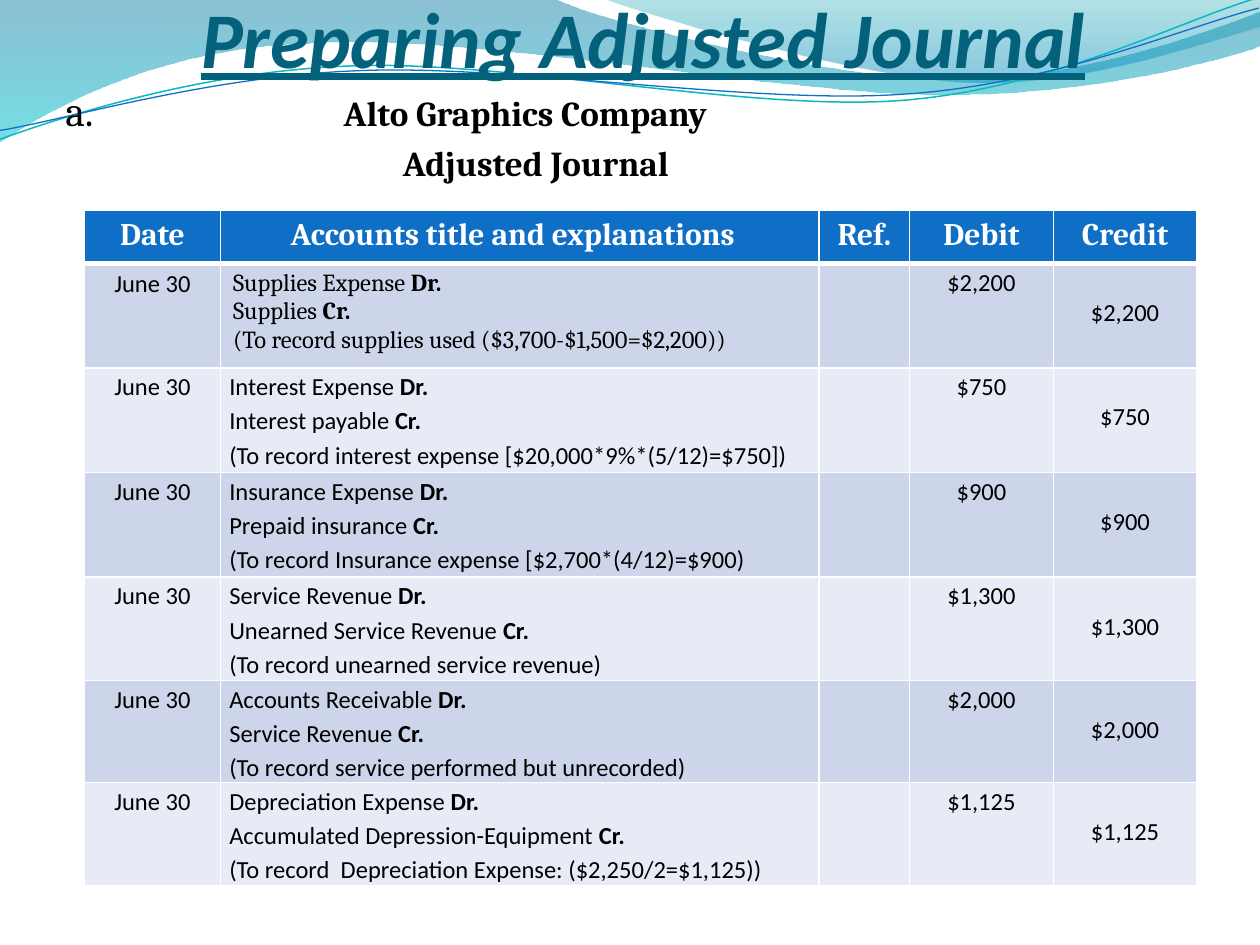
from lxml import etree
from pptx import Presentation
from pptx.dml.color import RGBColor
from pptx.enum.text import MSO_ANCHOR, PP_ALIGN
from pptx.oxml.ns import qn
from pptx.util import Inches, Pt

CENTER, LEFT = PP_ALIGN.CENTER, PP_ALIGN.LEFT
BOTTOM = MSO_ANCHOR.BOTTOM

BLACK = RGBColor(0x00, 0x00, 0x00)
WHITE = RGBColor(0xFF, 0xFF, 0xFF)
TITLE_TEAL = RGBColor(0x04, 0x61, 0x7B)
HEADER_BLUE = RGBColor(0x0F, 0x6F, 0xC6)
LINE_TEAL = RGBColor(0x0A, 0xB8, 0xBF)
BANDS = (RGBColor(0xCC, 0xD5, 0xEA), RGBColor(0xE7, 0xEB, 0xF5))
DEEP_BLUE = RGBColor(0x00, 0x74, 0xA1)
CYAN = RGBColor(0x00, 0xC6, 0xCF)
SEA_GREEN = RGBColor(0x00, 0xA1, 0xA9)
SKY_BLUE = RGBColor(0x00, 0x8B, 0xBF)

TITLE_FONT = dict(name="Calibri", size=Pt(45), bold=True, italic=True, underline=True)
LABEL_FONT = dict(name="Cambria", size=Pt(24), bold=False)
HEADING_FONT = dict(name="Cambria", size=Pt(20), bold=True)
HEADER_FONT = dict(name="Cambria", size=Pt(18), bold=True)
SERIF_FONT = dict(name="Cambria", size=Pt(14), bold=False)
BODY_FONT = dict(name="Calibri", size=Pt(14), bold=False)
TIGHT = dict(margin_left=Inches(0.07), margin_right=Inches(0.07),
             margin_top=0, margin_bottom=0)
LOWERED = {**TIGHT, "margin_top": Inches(0.24)}

WAVES = [
    ([(0, 0), (4.4, -0.01),
      (4.76, 0.17, 6.64, 0.63, 7.58, 0.63), (8.53, 0.63, 9.58, 0.26, 10, 0.09),
      (10.01, 0.36),
      (9.83, 0.44, 8.7, 0.76, 7.46, 0.75), (6.22, 0.75, 3.82, 0.28, 2.57, 0.34),
      (1.29, 0.36, 0.46, 0.83, -0.01, 1.13)],
     [(0, DEEP_BLUE, 45), (1, CYAN, 55)]),
    ([(4.79, -0.01),
      (5.09, 0.11, 6.82, 0.62, 7.69, 0.65), (8.56, 0.69, 9.61, 0.32, 10, 0.21),
      (10, 0)],
     [(0, SEA_GREEN, 30), (0.8, SKY_BLUE, 45)]),
]
WAVE_LINE_ROTATION = 357.3
WAVE_LINES = [
    ([(-0.02, 0.87), (0.47, 0.72, 1.58, 0.41, 2.77, 0.42),
      (3.96, 0.42, 5.91, 0.93, 7.12, 0.9), (8.32, 0.87, 9.41, 0.36, 10, 0.22)],
     LINE_TEAL, 0.85),
    ([(-0.02, 0.8), (0.46, 0.75, 1.64, 0.45, 2.83, 0.46),
      (4.03, 0.46, 5.96, 0.88, 7.16, 0.85), (8.36, 0.83, 9.42, 0.42, 10.01, 0.3)],
     HEADER_BLUE, 0.75),
]

HEADINGS = [
    ([("a.", LABEL_FONT), ("\tAlto Graphics Company", {})], 2.21),
    ([("\tAdjusted Journal", {})], 2.68),
]
COLUMN_WIDTHS = [1.08, 4.75, 0.72, 1.14, 1.14]
ROW_HEIGHTS = [0.42] + [0.83] * 3 + [0.82, 0.81, 0.82]
HEADERS = [("Date", {}),
           ("Accounts title and explanations", dict(margin_right=Inches(0.21))),
           ("Ref.", {}), ("Debit", {}), ("Credit", {})]
ENTRIES = [
    ("Supplies Expense", "Supplies",
     "(To record supplies used ($3,700-$1,500=$2,200))", "$2,200"),
    ("Interest Expense", "Interest payable",
     "(To record interest expense [$20,000*9%*(5/12)=$750])", "$750"),
    ("Insurance Expense", "Prepaid insurance",
     "(To record Insurance expense [$2,700*(4/12)=$900)", "$900"),
    ("Service Revenue", "Unearned Service Revenue",
     "(To record unearned service revenue)", "$1,300"),
    ("Accounts Receivable", "Service Revenue",
     "(To record service performed but unrecorded)", "$2,000"),
    ("Depreciation Expense", "Accumulated Depression-Equipment",
     "(To record  Depreciation Expense: ($2,250/2=$1,125))", "$1,125"),
]


def apply_format(target, values):
    for name, value in values.items():
        setattr(target, name, value)


def add_outline(slide, segments, close):
    points = [(Inches(x), Inches(y)) for segment in segments
              for x, y in zip(segment[::2], segment[1::2])]
    builder = slide.shapes.build_freeform(*points[0])
    builder.add_line_segments(points[1:], close=close)
    shape = builder.convert_to_shape()
    shape.shadow.inherit = False
    nodes = iter(list(shape.element.iter(qn("a:lnTo"))))
    for segment in segments[1:]:
        node = next(nodes)
        if len(segment) == 6:
            node.tag = qn("a:cubicBezTo")
            for _ in range(2):
                control = next(nodes)
                node.append(control[0])
                control.getparent().remove(control)
    return shape


def add_wave(slide, segments, stops):
    shape = add_outline(slide, segments, True)
    shape.line.fill.background()
    shape.fill.gradient()
    shape.fill.gradient_angle = 270
    for stop, (position, color, _) in zip(shape.fill.gradient_stops, stops):
        stop.position = position
        stop.color.rgb = color
    colors = shape.element.spPr.iter(qn("a:srgbClr"))
    for color, (_, _, opacity) in zip(list(colors), stops):
        etree.SubElement(color, qn("a:alpha"), val=str(opacity * 1000))


def add_wave_line(slide, segments, color, width):
    shape = add_outline(slide, segments, False)
    shape.rotation = WAVE_LINE_ROTATION
    shape.fill.background()
    shape.line.color.rgb = color
    shape.line.width = Pt(width)


def write_lines(frame, lines, font, color, paragraph_format):
    for index, runs in enumerate(lines):
        paragraph = frame.add_paragraph() if index else frame.paragraphs[0]
        apply_format(paragraph, paragraph_format)
        for text, changes in runs:
            run = paragraph.add_run()
            run.text = text
            apply_format(run.font, {**font, **changes})
            run.font.color.rgb = color


def add_text(slide, box, lines, font, color, frame_format, paragraph_format):
    frame = slide.shapes.add_textbox(*map(Inches, box)).text_frame
    apply_format(frame, {"word_wrap": True, **frame_format})
    write_lines(frame, lines, font, color, paragraph_format)
    return frame


def add_headings(slide):
    frame = add_text(slide, (0.42, 0.58, 9, 8.58), [runs for runs, _ in HEADINGS],
                     HEADING_FONT, BLACK, dict(margin_top=Inches(0.09)),
                     dict(alignment=LEFT, space_after=Pt(4)))
    for paragraph, (_, position) in zip(frame.paragraphs, HEADINGS):
        properties = paragraph._p.get_or_add_pPr()
        tabs = etree.SubElement(properties, qn("a:tabLst"))
        etree.SubElement(tabs, qn("a:tab"), pos=str(Inches(position)), algn="l")


def fill_cell(cell, lines, font, color, fill, margins, paragraph_format):
    cell.fill.solid()
    cell.fill.fore_color.rgb = fill
    apply_format(cell, margins)
    write_lines(cell.text_frame, lines, font, color, paragraph_format)


def add_bottom_border(cell, color, width):
    border = etree.Element(qn("a:lnB"), w=str(Pt(width)))
    fill = etree.SubElement(border, qn("a:solidFill"))
    etree.SubElement(fill, qn("a:srgbClr"), val=str(color))
    cell._tc.get_or_add_tcPr().insert(0, border)


def fill_entry(table, row, entry):
    debit_account, credit_account, note, amount = entry
    explanation = [
        [(debit_account + " ", {}), ("Dr.", {"bold": True})],
        [(credit_account + " ", {}), ("Cr.", {"bold": True})],
        [(note, {})],
    ]
    first = row == 1
    centered = dict(alignment=CENTER, line_spacing=1.15)
    margins = {} if first else TIGHT
    spacing = {} if first else dict(line_spacing=1.15)
    contents = [
        ([[("June 30", {})]], BODY_FONT, margins, dict(alignment=CENTER, **spacing)),
        (explanation, SERIF_FONT if first else BODY_FONT, margins,
         dict(alignment=LEFT, **spacing)),
        ([], BODY_FONT, {}, {}),
        ([[(amount, {})]], BODY_FONT, TIGHT, centered),
        ([[(amount, {})]], BODY_FONT, LOWERED, centered),
    ]
    fill = BANDS[(row - 1) % 2]
    for column, (lines, font, cell_margins, paragraph_format) in enumerate(contents):
        fill_cell(table.cell(row, column), lines, font, BLACK, fill,
                  cell_margins, paragraph_format)


def add_journal(slide):
    table = slide.shapes.add_table(
        len(ROW_HEIGHTS), len(COLUMN_WIDTHS), Inches(0.67), Inches(1.67),
        Inches(sum(COLUMN_WIDTHS)), Inches(sum(ROW_HEIGHTS))).table
    for column, width in zip(table.columns, COLUMN_WIDTHS):
        column.width = Inches(width)
    for row, height in zip(table.rows, ROW_HEIGHTS):
        row.height = Inches(height)
    for column, (header, margins) in enumerate(HEADERS):
        cell = table.cell(0, column)
        fill_cell(cell, [[(header, {})]], HEADER_FONT, WHITE, HEADER_BLUE,
                  margins, dict(alignment=CENTER))
        add_bottom_border(cell, WHITE, 3)
    for row, entry in enumerate(ENTRIES, 1):
        fill_entry(table, row, entry)


def main():
    presentation = Presentation()
    presentation.slide_width = Inches(10)
    presentation.slide_height = Inches(7.5)
    slide = presentation.slides.add_slide(presentation.slide_layouts[6])
    for wave in WAVES:
        add_wave(slide, *wave)
    for wave_line in WAVE_LINES:
        add_wave_line(slide, *wave_line)
    add_text(slide, (0.23, -0.16, 9.75, 0.83), [[("Preparing Adjusted Journal", {})]],
             TITLE_FONT, TITLE_TEAL,
             dict(vertical_anchor=BOTTOM, margin_left=0, margin_right=0, margin_bottom=0),
             dict(alignment=CENTER))
    add_headings(slide)
    add_journal(slide)
    presentation.save("out.pptx")


if __name__ == "__main__":
    main()
